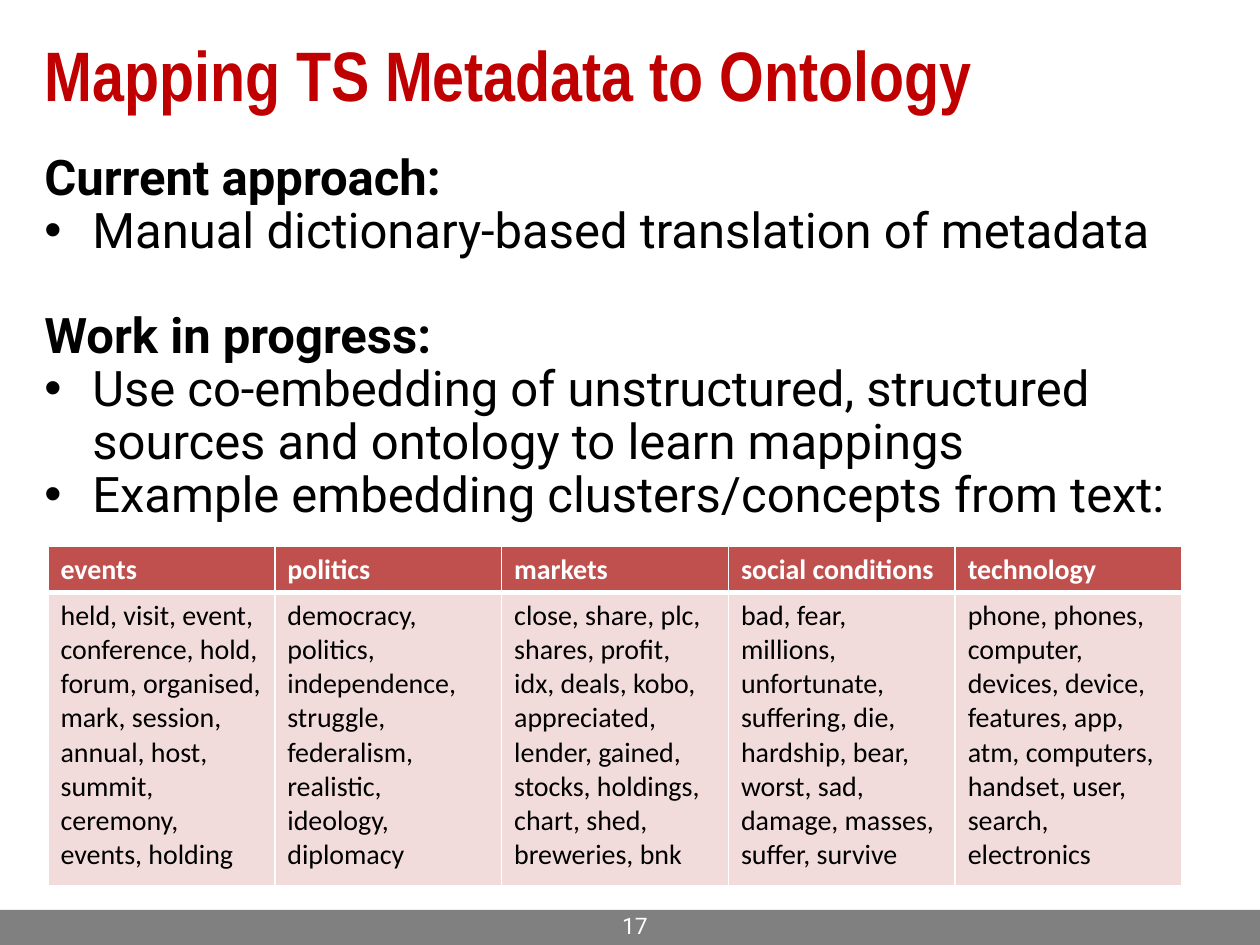
"""Build the slide on mapping metadata to an ontology."""
from lxml import etree
from pptx import Presentation
from pptx.dml.color import RGBColor
from pptx.enum.shapes import MSO_SHAPE
from pptx.enum.text import MSO_ANCHOR, MSO_AUTO_SIZE, PP_ALIGN
from pptx.oxml.ns import qn
from pptx.util import Emu, Pt

RECTANGLE = MSO_SHAPE.RECTANGLE
MIDDLE, BOTTOM = MSO_ANCHOR.MIDDLE, MSO_ANCHOR.BOTTOM
LEFT, RIGHT = PP_ALIGN.LEFT, PP_ALIGN.RIGHT
NO_FIT = MSO_AUTO_SIZE.NONE
SCALE = 914400 / 126
WHITE, BLACK, RED = "FFFFFF", "000000", "C00000"


def px(*lengths):
    return [Emu(round(length * SCALE)) for length in lengths]


def style(paragraph, name, size, color, bold=False):
    for span in paragraph.runs:
        span.font.name = name
        span.font.size = Pt(size)
        span.font.bold = bold
        span.font.color.rgb = RGBColor.from_string(color)


deck = Presentation()
deck.slide_width, deck.slide_height = px(1260, 945)
page = deck.slides.add_slide(deck.slide_layouts[5])

bar = page.shapes.add_shape(RECTANGLE, *px(0, 910, 1260, 35))
bar.shadow.inherit = False
bar.fill.solid()
bar.fill.fore_color.rgb = RGBColor.from_string("808080")
bar.line.fill.background()

title = page.shapes.title
title.left, title.top, title.width, title.height = px(32, 0, 1223, 147)
title.text_frame.text = "Mapping TS Metadata to Ontology"
title.text_frame.auto_size = NO_FIT
title.text_frame.vertical_anchor = MIDDLE
title.text_frame.paragraphs[0].alignment = LEFT
style(title.text_frame.paragraphs[0], "Arial Narrow", 40, RED, True)

body = page.shapes.add_textbox(*px(32, 147, 1166, 420)).text_frame
body.word_wrap = True
lines = [
    ("Current approach:", True),
    ("Manual dictionary-based translation of metadata", False),
    ("Work in progress:", True),
    ("Use co-embedding of unstructured, structured sources and ontology to learn mappings", False),
    ("Example embedding clusters/concepts from text:", False),
]
body.text = "\n".join(text for text, heading in lines)
for index, (paragraph, (text, heading)) in enumerate(zip(body.paragraphs, lines)):
    paragraph.line_spacing = 0.9
    if heading and index:
        paragraph.space_before = Pt(30)
    if not heading:
        indent = px(48)[0]
        properties = paragraph._p.get_or_add_pPr()
        properties.set("marL", str(indent))
        properties.set("indent", str(-indent))
        etree.SubElement(properties, qn("a:buFont"), typeface="Arial")
        etree.SubElement(properties, qn("a:buChar"), char="•")
    style(paragraph, "Roboto", 28, BLACK, heading)

number = page.shapes.add_textbox(*px(597, 920, 63, 19)).text_frame
number.word_wrap = True
number.vertical_anchor = BOTTOM
number.margin_bottom = 0
number.text = "17"
number.paragraphs[0].alignment = RIGHT
style(number.paragraphs[0], "Roboto", 13, WHITE)

clusters = {
    "events": "held, visit, event, conference, hold, forum, organised, mark, session, "
              "annual, host, summit, ceremony, events, holding",
    "politics": "democracy, politics, independence, struggle, federalism, realistic, "
                "ideology, diplomacy",
    "markets": "close, share, plc, shares, profit, idx, deals, kobo, appreciated, "
               "lender, gained, stocks, holdings, chart, shed, breweries, bnk",
    "social conditions": "bad, fear, millions, unfortunate, suffering, die, hardship, "
                         "bear, worst, sad, damage, masses, suffer, survive",
    "technology": "phone, phones, computer, devices, device, features, app, atm, "
                  "computers, handset, user, search, electronics",
}
table = page.shapes.add_table(2, len(clusters), *px(48, 546, 1134, 340)).table
table.rows[0].height, table.rows[1].height = px(46, 294)
row_looks = [("C0504D", WHITE, True, {"lnB": 3}), ("F2DCDB", BLACK, False, {"lnT": 3})]
for column, words in enumerate(clusters.items()):
    for row, (fill, color, bold, thick) in enumerate(row_looks):
        cell = table.cell(row, column)
        cell.text = words[row]
        style(cell.text_frame.paragraphs[0], "Calibri", 16, color, bold)
        properties = cell._tc.get_or_add_tcPr()
        for side in ("lnL", "lnR", "lnT", "lnB"):
            border = etree.SubElement(properties, qn("a:" + side), w=str(Pt(thick.get(side, 1))))
            paint = etree.SubElement(border, qn("a:solidFill"))
            etree.SubElement(paint, qn("a:srgbClr"), val=WHITE)
        cell.fill.solid()
        cell.fill.fore_color.rgb = RGBColor.from_string(fill)

deck.save("out.pptx")
